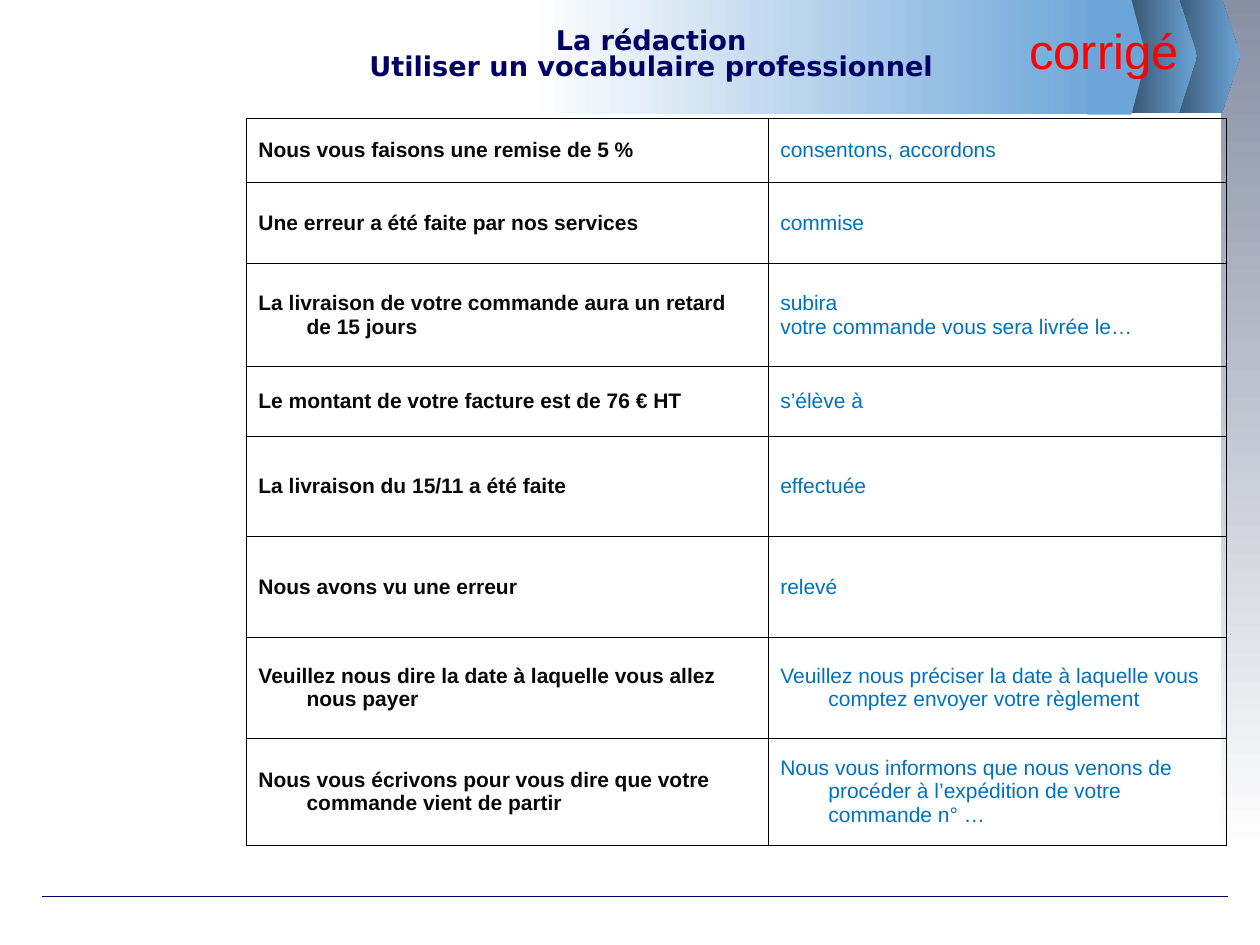
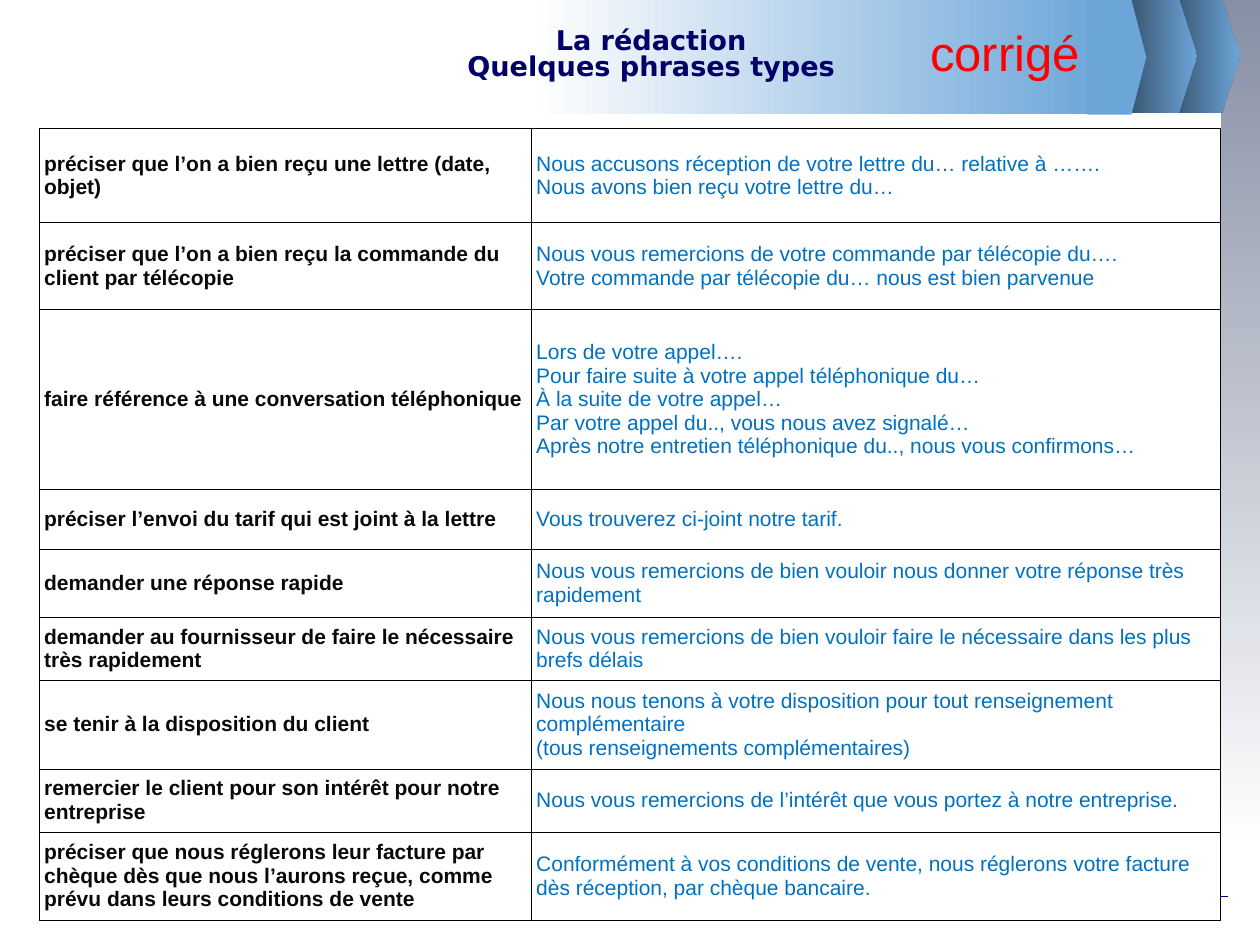
from dataclasses import dataclass

from lxml import etree
from pptx import Presentation
from pptx.dml.color import RGBColor
from pptx.enum.shapes import MSO_CONNECTOR, MSO_SHAPE
from pptx.enum.text import MSO_ANCHOR, MSO_AUTO_SIZE, PP_ALIGN
from pptx.oxml.ns import qn
from pptx.util import Cm, Pt


@dataclass(frozen=True)
class Theme:
    navy: str = "000066"
    sky: str = "6CA5D8"
    steel: str = "324C64"
    slate: str = "878FA5"
    white: str = "FFFFFF"
    black: str = "000000"
    phrase: str = "080808"
    answer: str = "0070C0"
    stamp: str = "FF0000"
    title_font: str = "DejaVu Sans"
    body_font: str = "Arial"
    title_size: float = 15.5
    body_size: float = 12
    stamp_size: float = 28
    border: float = 0.45
    rule: float = 0.75


THEME = Theme()
BAND_HEIGHT = 2.31

VOCABULARY = [
    (1.3, "Nous vous faisons une remise de 5 %", "consentons, accordons"),
    (1.63, "Une erreur a été faite par nos services", "commise"),
    (2.08, "La livraison de votre commande aura un retard de 15 jours",
     "subira\nvotre commande vous sera livrée le…"),
    (1.4, "Le montant de votre facture est de 76 € HT", "s’élève à"),
    (2.03, "La livraison du 15/11 a été faite", "effectuée"),
    (2.03, "Nous avons vu une erreur", "relevé"),
    (2.03, "Veuillez nous dire la date à laquelle vous allez nous payer",
     "Veuillez nous préciser la date à laquelle vous comptez envoyer votre règlement"),
    (2.16, "Nous vous écrivons pour vous dire que votre commande vient de partir",
     "Nous vous informons que nous venons de procéder à l’expédition de votre commande n° …"),
]

STOCK_PHRASES = [
    (1.9, "préciser que l’on a bien reçu une lettre (date, objet)",
     "Nous accusons réception de votre lettre du… relative à …….\n"
     "Nous avons bien reçu votre lettre du…"),
    (1.75, "préciser que l’on a bien reçu la commande du client par télécopie",
     "Nous vous remercions de votre commande par télécopie du….\n"
     "Votre commande par télécopie du… nous est bien parvenue"),
    (3.63, "faire référence à une conversation téléphonique",
     "Lors de votre appel….\n"
     "Pour faire suite à votre appel téléphonique du…\n"
     "À la suite de votre appel…\n"
     "Par votre appel du.., vous nous avez signalé…\n"
     "Après notre entretien téléphonique du.., nous vous confirmons…"),
    (1.2, "préciser l’envoi du tarif qui est joint à la lettre",
     "Vous trouverez ci-joint notre tarif."),
    (1.37, "demander une réponse rapide",
     "Nous vous remercions de bien vouloir nous donner votre réponse très rapidement"),
    (1.27, "demander au fournisseur de faire le nécessaire très rapidement",
     "Nous vous remercions de bien vouloir faire le nécessaire dans les plus brefs délais"),
    (1.79, "se tenir à la disposition du client",
     "Nous nous tenons à votre disposition pour tout renseignement complémentaire\n"
     "(tous renseignements complémentaires)"),
    (1.27, "remercier le client pour son intérêt pour notre entreprise",
     "Nous vous remercions de l’intérêt que vous portez à notre entreprise."),
    (1.78, "préciser que nous réglerons leur facture par chèque dès que nous "
     "l’aurons reçue, comme prévu dans leurs conditions de vente",
     "Conformément à vos conditions de vente, nous réglerons votre facture "
     "dès réception, par chèque bancaire."),
]


def rgb(code):
    return RGBColor.from_string(code)


def paint(shape, colours, angle=0):
    """Fill with one colour, or with a gradient between two."""
    shape.shadow.inherit = False
    shape.line.fill.background()
    if len(colours) == 1:
        shape.fill.solid()
        shape.fill.fore_color.rgb = rgb(colours[0])
        return
    shape.fill.gradient()
    shape.fill.gradient_angle = angle
    for stop, colour in zip(shape.fill.gradient_stops, colours):
        stop.color.rgb = rgb(colour)


def add_panel(slide, left, width, height, colours, angle=0):
    panel = slide.shapes.add_shape(
        MSO_SHAPE.RECTANGLE, Cm(left), 0, Cm(width), Cm(height))
    paint(panel, colours, angle)
    return panel


def add_chevron(slide, left, top, shoulder, width, colours):
    """Draw a flat-backed arrow: straight up to the shoulder, then a point."""
    right, bottom = left + shoulder, top + BAND_HEIGHT
    outline = [(right, top), (left + width, top + BAND_HEIGHT / 2),
               (right, bottom), (left, bottom)]
    builder = slide.shapes.build_freeform(Cm(left), Cm(top))
    builder.add_line_segments([(Cm(x), Cm(y)) for x, y in outline], close=True)
    chevron = builder.convert_to_shape()
    paint(chevron, colours)
    return chevron


def add_footer_rule(slide):
    rule = slide.shapes.add_connector(
        MSO_CONNECTOR.STRAIGHT, Cm(0.84), Cm(18.08), Cm(24.76), Cm(18.08))
    rule.line.color.rgb = rgb(THEME.navy)
    rule.line.width = Pt(THEME.rule)
    etree.SubElement(rule.element.spPr, qn("a:effectLst"))
    return rule


def decorate_layout(layout, slide):
    """Draw the shared decoration on a slide, then hand it to its layout."""
    for placeholder in list(layout.placeholders):
        if placeholder.placeholder_format.idx != 0:
            layout.shapes.element.remove(placeholder.element)
    shaded = (THEME.steel, THEME.sky)
    decoration = [
        add_panel(slide, 24.61, 0.79, 17.2, (THEME.slate, THEME.white), 270),
        add_footer_rule(slide),
        add_chevron(slide, 23.5, -0.03, 1.13, 1.5, shaded),
        add_chevron(slide, 22.63, -0.03, 1.13, 1.5, shaded),
        add_panel(slide, 10.69, 11.68, BAND_HEIGHT, (THEME.white, THEME.sky)),
        add_chevron(slide, 21.92, 0, 0.89, 1.19, (THEME.sky,)),
    ]
    for part in decoration:
        layout.shapes.element.append(part.element)


def add_run(paragraph, text, size, colour, font=THEME.body_font, bold=False):
    run = paragraph.add_run()
    run.text = text
    run.font.name = font
    run.font.size = Pt(size)
    run.font.bold = bold
    run.font.color.rgb = rgb(colour)


def set_title(slide, topic):
    title = slide.shapes.title
    title.left, title.top, title.width, title.height = (
        Cm(3.18), Cm(0.3), Cm(19.89), Cm(1.65))
    frame = title.text_frame
    frame.auto_size = MSO_AUTO_SIZE.NONE
    frame.vertical_anchor = MSO_ANCHOR.MIDDLE
    heading = frame.paragraphs[0]
    heading.alignment = PP_ALIGN.CENTER
    heading.line_spacing = 0.8
    style = (THEME.title_size, THEME.navy, THEME.title_font, True)
    add_run(heading, "La rédaction", *style)
    heading.add_line_break()
    add_run(heading, topic, *style)


def add_stamp(slide, left, top):
    stamp = slide.shapes.add_textbox(Cm(left), Cm(top), Cm(4.9), Cm(1.45))
    stamp.text_frame.word_wrap = True
    add_run(stamp.text_frame.paragraphs[0], "corrigé",
            THEME.stamp_size, THEME.stamp)


def set_borders(cell):
    properties = cell._tc.get_or_add_tcPr()
    for position, side in enumerate(("lnL", "lnR", "lnT", "lnB")):
        border = etree.Element(qn(f"a:{side}"), w=str(Pt(THEME.border)))
        fill = etree.SubElement(border, qn("a:solidFill"))
        etree.SubElement(fill, qn("a:srgbClr"), val=THEME.black)
        properties.insert(position, border)


def fill_cell(cell, text, colour, bold, side_margin, hanging, background):
    cell.vertical_anchor = MSO_ANCHOR.MIDDLE
    cell.margin_left = cell.margin_right = Cm(side_margin)
    cell.margin_top = cell.margin_bottom = Cm(0.13)
    if background:
        cell.fill.solid()
        cell.fill.fore_color.rgb = rgb(background)
    else:
        cell.fill.background()
    set_borders(cell)
    frame = cell.text_frame
    for number, line in enumerate(text.split("\n")):
        paragraph = frame.add_paragraph() if number else frame.paragraphs[0]
        if hanging:
            properties = paragraph._p.get_or_add_pPr()
            properties.set("marL", str(Cm(hanging)))
            properties.set("indent", str(-Cm(hanging)))
        add_run(paragraph, line, THEME.body_size, colour, bold=bold)


def add_phrase_table(slide, entries, left, top, widths,
                     side_margin, hanging=0, background=None):
    """Lay out (row height, phrase, answer) entries in two columns."""
    total_height = sum(height for height, _, _ in entries)
    table = slide.shapes.add_table(
        len(entries), 2, Cm(left), Cm(top),
        Cm(sum(widths)), Cm(total_height)).table
    table.first_row = table.horz_banding = False
    for column, width in zip(table.columns, widths):
        column.width = Cm(width)
    for row, (height, phrase, answer) in zip(table.rows, entries):
        row.height = Cm(height)
        look = (side_margin, hanging, background)
        fill_cell(row.cells[0], phrase, THEME.phrase, True, *look)
        fill_cell(row.cells[1], answer, THEME.answer, False, *look)


def main():
    presentation = Presentation()
    presentation.slide_width, presentation.slide_height = Cm(25.4), Cm(19.05)
    title_only = presentation.slide_layouts[5]

    vocabulary = presentation.slides.add_slide(title_only)
    decorate_layout(title_only, vocabulary)
    set_title(vocabulary, "Utiliser un vocabulaire professionnel")
    add_phrase_table(vocabulary, VOCABULARY, 4.96, 2.38, (10.52, 9.25),
                     side_margin=0.25, hanging=0.97)
    add_stamp(vocabulary, 20.5, 0.28)

    phrases = presentation.slides.add_slide(title_only)
    set_title(phrases, "Quelques phrases types")
    add_phrase_table(phrases, STOCK_PHRASES, 0.79, 2.59, (9.92, 13.89),
                     side_margin=0.1, background=THEME.white)
    add_stamp(phrases, 18.5, 0.33)

    presentation.save("out.pptx")


if __name__ == "__main__":
    main()
